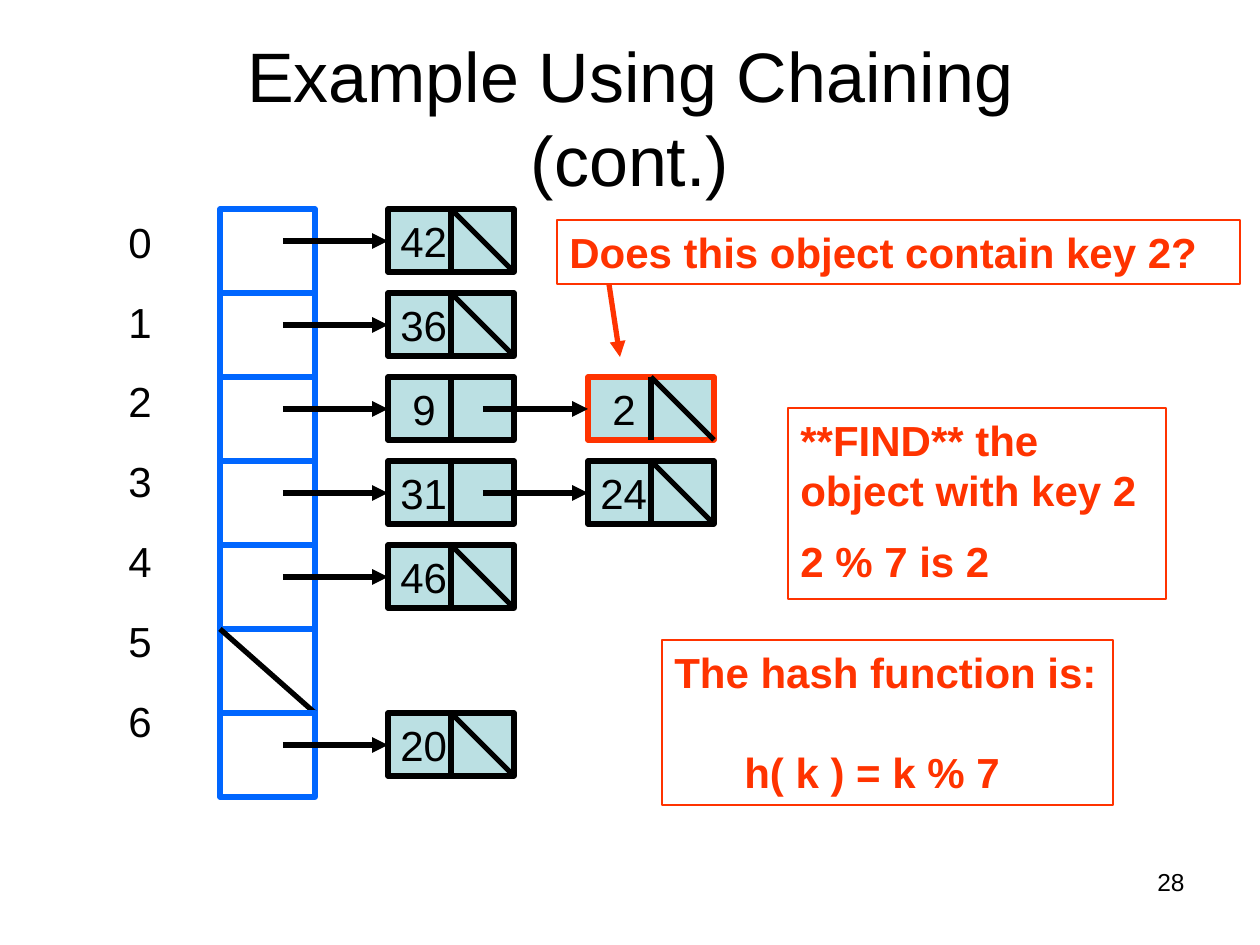
"""Build a slide showing a lookup in a hash table that uses chaining."""
from dataclasses import dataclass
from lxml.etree import SubElement
from pptx import Presentation
from pptx.dml.color import RGBColor
from pptx.enum.shapes import MSO_CONNECTOR, MSO_SHAPE
from pptx.enum.text import MSO_ANCHOR, PP_ALIGN
from pptx.oxml.ns import qn
from pptx.util import Emu, Pt

TITLE = "Example Using Chaining\v(cont.)"
PAGE_NUMBER = "28"
CHAINS = [["42"], ["36"], ["9", "2"], ["31", "24"], ["46"], [], ["20"]]
FOUND_KEY = "2"
CALLOUTS = [
    {"box": (557, 220, 683, 64), "lines": ["Does this object contain key 2?"]},
    {"box": (788, 408, 378, 191), "lines": ["**FIND** the object with key 2", "2 % 7 is 2"]},
    {"box": (662, 640, 451, 165), "lines": ["The hash function is:", "h( k ) = k % 7"],
     "gap": 28.8, "indents": (0, 70)},
]
QUESTION_ARROW = (609, 284, 620, 357)

SLOT_LEFT, SLOT_TOP, SLOT_WIDTH, SLOT_PITCH = 220, 209, 95, 84
NODE_LEFT, NODE_PITCH, NODE_WIDTH, NODE_HEIGHT = 388, 200, 126, 63


@dataclass(frozen=True)
class Theme:
    font: str = "Arial"
    black: str = "000000"
    white: str = "FFFFFF"
    highlight: str = "FF3300"
    slot: str = "0066FF"
    node: str = "BBE0E3"
    title_size: int = 40
    text_size: int = 24
    number_size: int = 14
    thick: float = 3
    thin: float = 0.75


THEME = Theme()


def px(value):
    return Emu(round(value * 914400 / 126))


def write_text(shape, lines, size=THEME.text_size, color=THEME.black, bold=False,
               align=PP_ALIGN.LEFT, anchor=MSO_ANCHOR.TOP, gap=12, indents=()):
    frame = shape.text_frame
    frame.word_wrap = True
    frame.vertical_anchor = anchor
    for index, line in enumerate(lines):
        paragraph = frame.add_paragraph() if index else frame.paragraphs[0]
        paragraph.text = line
        paragraph.alignment = align
        if index:
            paragraph.space_before = Pt(gap)
        if indents:
            paragraph._p.get_or_add_pPr().set("marL", str(px(indents[index])))
        for run in paragraph.runs:
            run.font.name = THEME.font
            run.font.size = Pt(size)
            run.font.bold = bold
            run.font.color.rgb = RGBColor.from_string(color)


def add_text(slide, box, lines, **text_format):
    write_text(slide.shapes.add_textbox(*map(px, box)), lines, **text_format)


def add_box(slide, box, line, fill=None, width=THEME.thick):
    shape = slide.shapes.add_shape(MSO_SHAPE.RECTANGLE, *map(px, box))
    shape.shadow.inherit = False
    if fill:
        shape.fill.solid()
        shape.fill.fore_color.rgb = RGBColor.from_string(fill)
    else:
        shape.fill.background()
    shape.line.color.rgb = RGBColor.from_string(line)
    shape.line.width = Pt(width)
    return shape


def add_line(slide, ends, color=THEME.black, arrow=False):
    connector = slide.shapes.add_connector(MSO_CONNECTOR.STRAIGHT, *map(px, ends))
    connector.line.color.rgb = RGBColor.from_string(color)
    connector.line.width = Pt(THEME.thick)
    if arrow:
        SubElement(connector.line._get_or_add_ln(), qn("a:tailEnd"), type="triangle")
    SubElement(connector._element.spPr, qn("a:effectLst"))


def add_node(slide, key, left, top, is_last):
    middle, right, bottom = left + NODE_WIDTH / 2, left + NODE_WIDTH, top + NODE_HEIGHT
    outline = THEME.highlight if key == FOUND_KEY else THEME.black
    add_box(slide, (left, top, NODE_WIDTH, NODE_HEIGHT), outline, THEME.node)
    add_line(slide, (middle, top, middle, bottom))
    add_text(slide, (left, top, 95, NODE_HEIGHT), [key], indents=[12 * (2 - len(key))])
    if is_last:
        add_line(slide, (middle, top, right, bottom))


def add_chain(slide, keys, top):
    add_box(slide, (SLOT_LEFT, top, SLOT_WIDTH, SLOT_PITCH), THEME.slot, THEME.white)
    if not keys:
        add_line(slide, (SLOT_LEFT, top, SLOT_LEFT + SLOT_WIDTH, top + SLOT_PITCH))
    arrow_start, arrow_top = SLOT_LEFT + 63, top + 32
    for index, key in enumerate(keys):
        left = NODE_LEFT + index * NODE_PITCH
        add_node(slide, key, left, top, index == len(keys) - 1)
        add_line(slide, (arrow_start, arrow_top, left, arrow_top), arrow=True)
        arrow_start = left + 95


def main():
    presentation = Presentation()
    presentation.slide_width, presentation.slide_height = px(1260), px(945)
    slide = presentation.slides.add_slide(presentation.slide_layouts[5])

    title = slide.shapes.title
    title.left, title.top, title.width, title.height = map(px, (63, 38, 1134, 158))
    write_text(title, [TITLE], size=THEME.title_size, align=PP_ALIGN.CENTER,
               anchor=MSO_ANCHOR.MIDDLE)

    for callout in CALLOUTS:
        shape = add_box(slide, callout["box"], THEME.highlight, width=THEME.thin)
        write_text(shape, callout["lines"], color=THEME.highlight, bold=True,
                   gap=callout.get("gap", 12), indents=callout.get("indents", ()))
    for index, keys in enumerate(CHAINS):
        add_chain(slide, keys, SLOT_TOP + index * SLOT_PITCH)
    add_line(slide, QUESTION_ARROW, THEME.highlight, arrow=True)

    labels = [str(index) for index in range(len(CHAINS))]
    add_text(slide, (116, 210, 73, 662), labels, gap=16.8)
    add_text(slide, (903, 861, 294, 65), [PAGE_NUMBER], size=THEME.number_size,
             align=PP_ALIGN.RIGHT)
    presentation.save("out.pptx")


if __name__ == "__main__":
    main()
